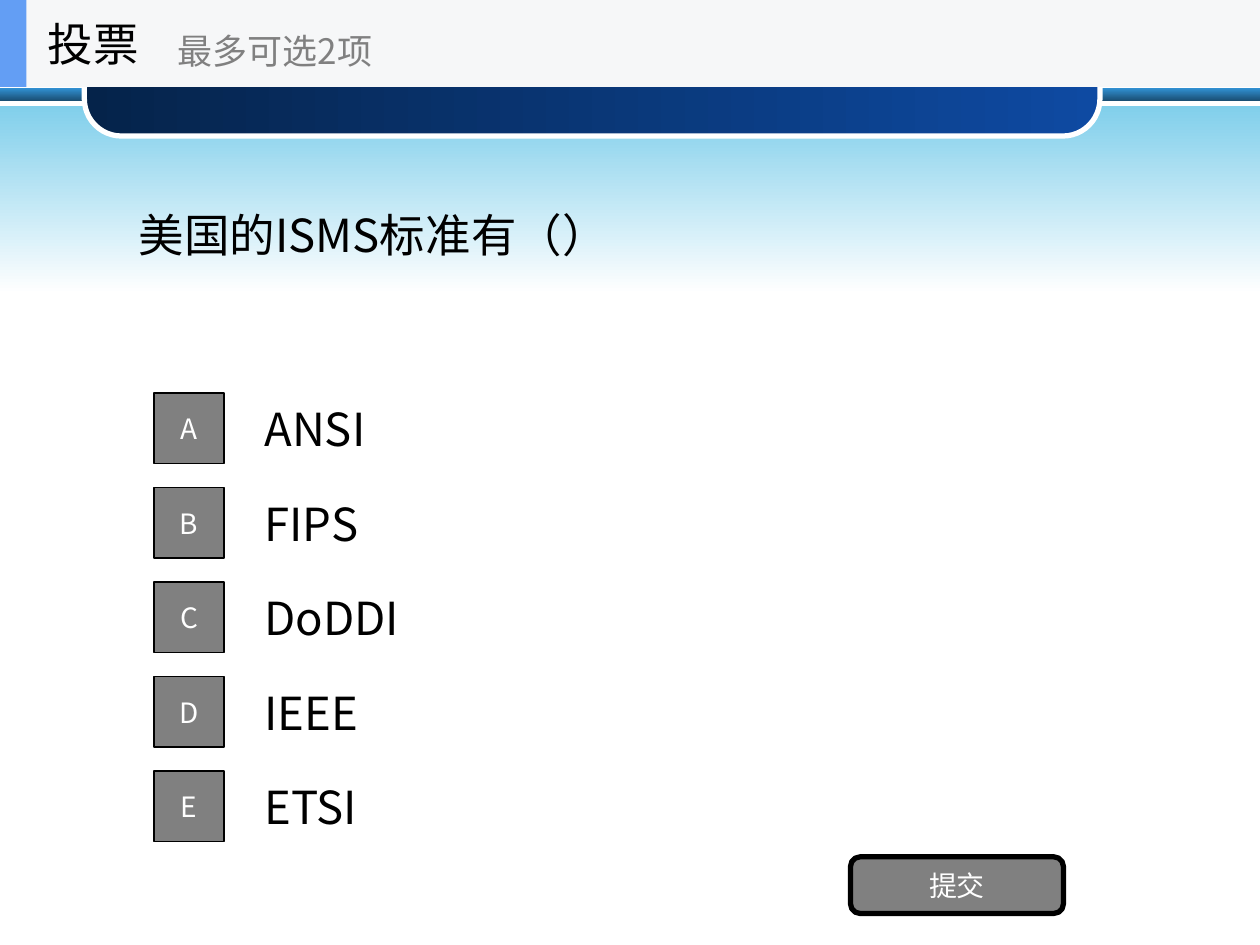
from dataclasses import dataclass

from lxml.etree import SubElement
from pptx import Presentation
from pptx.dml.color import RGBColor
from pptx.enum.shapes import MSO_SHAPE
from pptx.enum.text import MSO_ANCHOR, PP_ALIGN
from pptx.oxml.ns import qn
from pptx.util import Inches, Pt


@dataclass(frozen=True)
class Theme:
    font: str = "Noto Sans CJK SC"
    ink: str = "000000"
    paper: str = "FFFFFF"
    gray: str = "808080"
    header: str = "F6F7F8"
    accent: str = "639EF4"
    strip: tuple = ("3191D3", "1A4F74")
    sky: tuple = ("81CFEB", "FFFFFF")
    banner: tuple = ("05234A", "0E4AA2")
    large: int = 26
    medium: int = 20
    small: int = 16


@dataclass(frozen=True)
class Box:
    column: float
    row: float
    columns: float
    rows: float


@dataclass(frozen=True)
class Option:
    letter: str
    answer: str


THEME = Theme()
WIDTH, HEIGHT = Inches(10), Inches(7.5)
COLUMNS, ROWS = 100, 75
DOWNWARD, RIGHTWARD = 270, 0
FIRST_ROW, ROW_STEP, ROW_HEIGHT = 30.5, 7.5, 7
BADGE_SIZE = 5.6
OPTIONS = [
    Option("A", "ANSI"),
    Option("B", "FIPS"),
    Option("C", "DoDDI"),
    Option("D", "IEEE"),
    Option("E", "ETSI"),
]


def place(box: Box) -> tuple:
    return (
        round(WIDTH * box.column / COLUMNS),
        round(HEIGHT * box.row / ROWS),
        round(WIDTH * box.columns / COLUMNS),
        round(HEIGHT * box.rows / ROWS),
    )


def write(shape, text: str, *, size: int = THEME.large, color: str = THEME.ink,
          alignment=PP_ALIGN.LEFT) -> None:
    frame = shape.text_frame
    frame.word_wrap = True
    frame.vertical_anchor = MSO_ANCHOR.MIDDLE
    paragraph = frame.paragraphs[0]
    paragraph.alignment = alignment
    run = paragraph.add_run()
    run.text = text
    run.font.size = Pt(size)
    run.font.name = THEME.font
    run.font.color.rgb = RGBColor.from_string(color)
    SubElement(run.font._element, qn("a:ea"), typeface=THEME.font)


def add_text(slide, box: Box, text: str, **text_format) -> None:
    write(slide.shapes.add_textbox(*place(box)), text, **text_format)


def add_panel(slide, box: Box, fill, *, kind=MSO_SHAPE.RECTANGLE, angle: int = DOWNWARD,
              line: str = "", line_width: float = 1, corner: float = 0):
    shape = slide.shapes.add_shape(kind, *place(box))
    shape.shadow.inherit = False
    if corner:
        shape.adjustments[0] = corner
    if isinstance(fill, tuple):
        shape.fill.gradient()
        shape.fill.gradient_angle = angle
        for stop, color in zip(shape.fill.gradient_stops, fill):
            stop.color.rgb = RGBColor.from_string(color)
    else:
        shape.fill.solid()
        shape.fill.fore_color.rgb = RGBColor.from_string(fill)
    if line:
        shape.line.color.rgb = RGBColor.from_string(line)
        shape.line.width = Pt(line_width)
    else:
        shape.line.fill.background()
    return shape


def add_button(slide, box: Box, text: str, **panel_format) -> None:
    shape = add_panel(slide, box, THEME.gray, line=THEME.ink, **panel_format)
    write(shape, text, size=THEME.small, color=THEME.paper, alignment=PP_ALIGN.CENTER)


def add_backdrop(slide) -> None:
    add_panel(slide, Box(0, 7, COLUMNS, 1), THEME.strip)
    add_panel(slide, Box(0, 8.4, COLUMNS, 14.9), THEME.sky)
    add_panel(slide, Box(6.7, 3.8, 80.6, 7), THEME.banner, kind=MSO_SHAPE.ROUNDED_RECTANGLE,
              angle=RIGHTWARD, line=THEME.paper, line_width=3, corner=0.42)


def add_question(slide, text: str) -> None:
    title = slide.shapes.title
    title.left, title.top, title.width, title.height = place(Box(10, 6.9, 80, 23.4))
    write(title, text)
    slide.shapes.element.append(title.element)


def add_option(slide, index: int, option: Option) -> None:
    row = FIRST_ROW + index * ROW_STEP
    inset = (ROW_HEIGHT - BADGE_SIZE) / 2
    add_text(slide, Box(20, row, 70, ROW_HEIGHT), option.answer)
    add_button(slide, Box(12.2, row + inset, BADGE_SIZE, BADGE_SIZE), option.letter)


def add_header(slide) -> None:
    add_panel(slide, Box(0, 0, COLUMNS, 6.9), THEME.header)
    add_panel(slide, Box(0, 0, 2.1, 6.9), THEME.accent)
    add_text(slide, Box(2.8, 0, 20.8, 6.9), "投票")
    add_text(slide, Box(13.1, 1.2, 25, 5.6), "最多可选2项", size=THEME.medium, color=THEME.gray)


def main() -> None:
    presentation = Presentation()
    presentation.slide_width, presentation.slide_height = WIDTH, HEIGHT
    slide = presentation.slides.add_slide(presentation.slide_layouts[5])
    slide.background.fill.solid()
    slide.background.fill.fore_color.rgb = RGBColor.from_string(THEME.paper)
    add_backdrop(slide)
    add_question(slide, "美国的ISMS标准有（）")
    for index, option in enumerate(OPTIONS):
        add_option(slide, index, option)
    add_button(slide, Box(67.5, 68, 16.9, 4.5), "提交",
               kind=MSO_SHAPE.ROUNDED_RECTANGLE, line_width=3, corner=0.17)
    add_header(slide)
    presentation.save("out.pptx")


if __name__ == "__main__":
    main()
